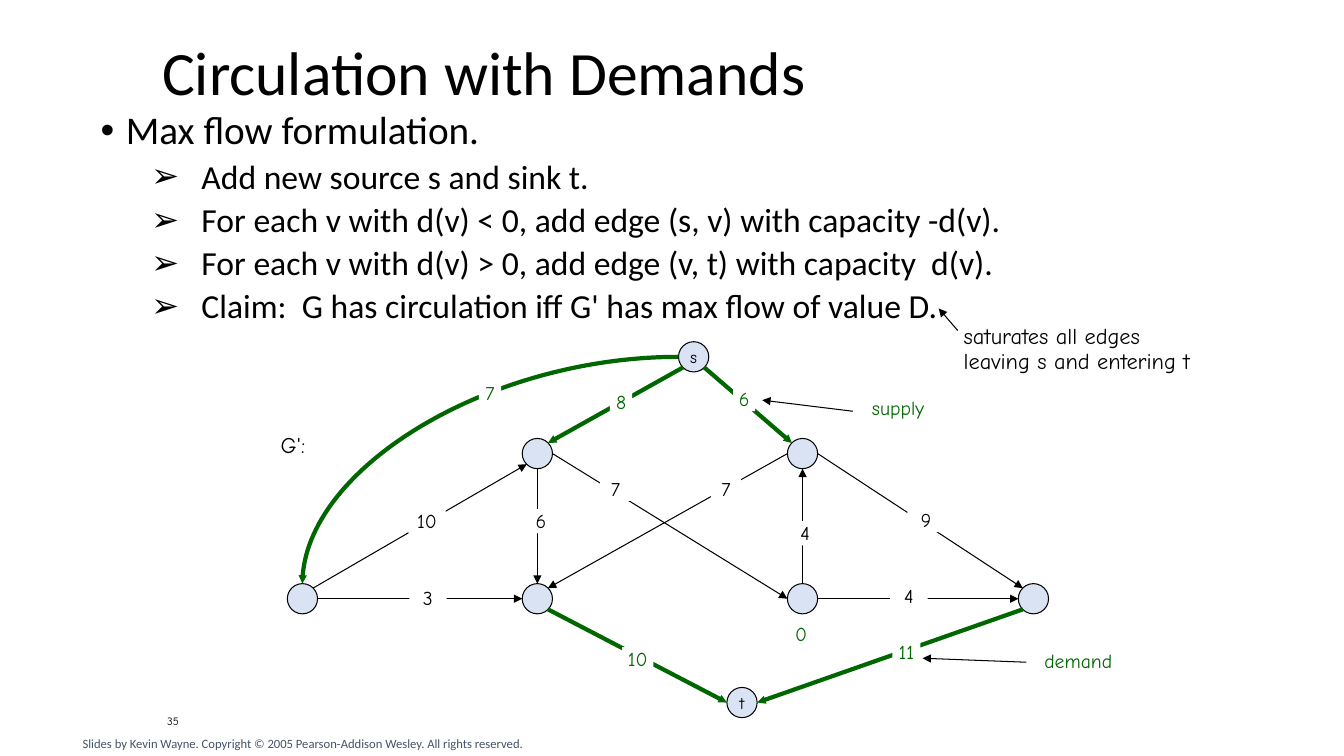
from pptx import Presentation
from pptx.dml.color import RGBColor
from pptx.enum import shapes, text
from pptx.oxml import ns
from pptx.util import Inches, Pt
from lxml import etree

BLACK = RGBColor(0x00, 0x00, 0x00)
GREEN = RGBColor(0x00, 0x66, 0x00)
PALE = RGBColor(0xDA, 0xE3, 0xF3)
WHITE = RGBColor(0xFF, 0xFF, 0xFF)
SLATE = RGBColor(0x44, 0x54, 0x6A)
HAND = "Comic Neue"
SANS = "Calibri"
MID = {"vertical_anchor": text.MSO_ANCHOR.MIDDLE}
LOOSE = {"word_wrap": False}
TIGHT = dict.fromkeys(
    ["margin_left", "margin_right", "margin_top", "margin_bottom"], 0)
CENTER = {"alignment": text.PP_ALIGN.CENTER}


def write(shape, lines, font, frame={}, para={}):
    body = shape.text_frame
    for key, val in {"word_wrap": True, **frame}.items():
        setattr(body, key, val)
    for i, line in enumerate(lines):
        par = body.add_paragraph() if i else body.paragraphs[0]
        par.text = line
        for key, val in para.items():
            setattr(par, key, val)
        for run in par.runs:
            run.font.name, run.font.size = font[0], Pt(font[1])
            run.font.color.rgb = font[2]
    return body


def arrow(start, end, color=BLACK, width=0.75, head="med", bent=False):
    kind = shapes.MSO_CONNECTOR.CURVE if bent else shapes.MSO_CONNECTOR.STRAIGHT
    link = deck.add_connector(kind, *map(Inches, (*start, *end)))
    link.line.color.rgb, link.line.width = color, Pt(width)
    prop = link._element.spPr
    etree.SubElement(link.line._get_or_add_ln(), ns.qn("a:tailEnd"),
                     type="triangle", w=head, len=head)
    etree.SubElement(prop, ns.qn("a:effectLst"))
    if bent:
        prop.find(ns.qn("a:prstGeom")).set("prst", "curvedConnector2")


show = Presentation()
show.slide_width, show.slide_height = Inches(13.33), Inches(7.5)
deck = show.slides.add_slide(show.slide_layouts[6]).shapes

# Title, notes and footer
notes = [
    (1.51, 0.29, 11.5, 0.91, "Circulation with Demands", (SANS, 44, BLACK),
     MID, {"line_spacing": 0.9}),
    (1.56, 6.95, 2.36, 0.4, "35", (HAND, 8, BLACK), MID, {}),
    (8.55, 3.88, 1.25, 0.33, "supply", (HAND, 14, GREEN), {}, {}),
    (10.26, 6.39, 0.94, 0.33, "demand", (HAND, 14, GREEN), {}, {}),
    (9.46, 3.16, 2.63, 0.61, "saturates all edges\vleaving s and entering t",
     (HAND, 16, BLACK), LOOSE, {"line_spacing": Pt(18)}),
    (0.72, 7.25, 5.62, 0.25, "Slides by Kevin Wayne. Copyright © 2005 "
     "Pearson-Addison Wesley. All rights reserved.", (SANS, 9, SLATE), {}, {}),
]
for *at, words, font, frame, para in notes:
    write(deck.add_textbox(*map(Inches, at)), [words], font, frame, para)

# Bulleted steps
steps = [
    "Max flow formulation.",
    "Add new source s and sink t.",
    "For each v with d(v) < 0, add edge (s, v) with capacity -d(v).",
    "For each v with d(v) > 0, add edge (v, t) with capacity  d(v).",
    "Claim:  G has circulation iff G' has max flow of value D.",
]
box = deck.add_textbox(*map(Inches, (0.9, 1.05, 12.09, 2.3)))
body = write(box, steps, (SANS, 24, BLACK), {}, {"line_spacing": 0.9})
for i, par in enumerate(body.paragraphs):
    mark, left, hang = ("➢", 1, 0.5) if i else ("•", 0.25, 0.25)
    prop = par._p.get_or_add_pPr()
    prop.set("marL", str(Inches(left)))
    prop.set("indent", str(-Inches(hang)))
    etree.SubElement(prop, ns.qn("a:buFont"), typeface="Arial")
    etree.SubElement(prop, ns.qn("a:buChar"), char=mark)
    par.space_before = Pt(5 if i else 0)
    par.level = 1 if i else 0
body.paragraphs[0].runs[0].font.size = Pt(28)

# Nodes, by centre
RAD = 0.15
nodes = {
    "a": (3, 5.94), "b": (5.33, 4.5), "c": (5.33, 5.94), "d": (7.96, 4.5),
    "e": (7.96, 5.94), "f": (10.25, 5.94), "s": (6.88, 3.54), "t": (7.36, 6.97),
}
for name, (x, y) in nodes.items():
    dot = deck.add_shape(shapes.MSO_SHAPE.OVAL, Inches(x - RAD),
                         Inches(y - RAD), Inches(2 * RAD), Inches(2 * RAD))
    dot.shadow.inherit = False
    dot.fill.solid()
    dot.fill.fore_color.rgb = PALE
    dot.line.color.rgb, dot.line.width = BLACK, Pt(0.75)
    if name in "st":
        write(dot, [name], (HAND, 12, BLACK), {**MID, **LOOSE}, CENTER)

# Edges, each from a compass side of one node to a side of another
DIAG = 0.7 * RAD
sides = {
    "N": (0, -RAD), "S": (0, RAD), "E": (RAD, 0), "W": (-RAD, 0),
    "NE": (DIAG, -DIAG), "NW": (-DIAG, -DIAG),
    "SE": (DIAG, DIAG), "SW": (-DIAG, DIAG),
}
thin = ["a NE b SW", "a E c W", "b S c N", "e N d S", "d E f NW", "e E f W",
        "b E e W", "d W c NE"]
bold = ["s SE d NW", "s SW b NE", "f SW t E", "c SE t W", "s W a N"]
for edge in thin + bold:
    u, out, v, into = edge.split()
    ends = [[p + q for p, q in zip(nodes[n], sides[k])]
            for n, k in ((u, out), (v, into))]
    style = (GREEN, 3, "sm") if edge in bold else ()
    arrow(*ends, *style, bent=edge == "s W a N")

# Pointers from the notes
for start, end in [((8.46, 4.08), (7.56, 3.97)), ((10.18, 6.57), (9.15, 6.53)),
                   ((9.5, 3.28), (9.31, 3.06))]:
    arrow(start, end)

# Capacities and graph name
labels = [
    (2.63, 4.28, 0.55, "G':", BLACK), (4.06, 5.81, 0.37, "3", BLACK),
    (4.05, 5.05, 0.37, "10", BLACK), (5.18, 5.05, 0.37, "6", BLACK),
    (9, 5.04, 0.37, "9", BLACK), (7.76, 6.17, 0.37, "0", GREEN),
    (5.95, 4.73, 0.31, "7", BLACK), (8.83, 5.79, 0.37, "4", BLACK),
    (7.05, 4.73, 0.3, "7", BLACK), (7.8, 5.17, 0.37, "4", BLACK),
    (6.17, 6.42, 0.31, "10", GREEN), (8.85, 6.35, 0.28, "11", GREEN),
    (4.75, 3.78, 0.22, "7", GREEN), (6.05, 3.87, 0.22, "8", GREEN),
    (7.27, 3.84, 0.22, "6", GREEN),
]
for x, y, wide, words, color in labels:
    size, high = (16, 0.27) if words == "G':" else (14, 0.24)
    tag = deck.add_shape(shapes.MSO_SHAPE.RECTANGLE,
                         *map(Inches, (x, y, wide, high)))
    tag.shadow.inherit = False
    tag.fill.solid()
    tag.fill.fore_color.rgb = WHITE
    tag.line.fill.background()
    write(tag, [words], (HAND, size, color),
          {**TIGHT, **LOOSE, "vertical_anchor": text.MSO_ANCHOR.TOP}, CENTER)

show.save("out.pptx")
